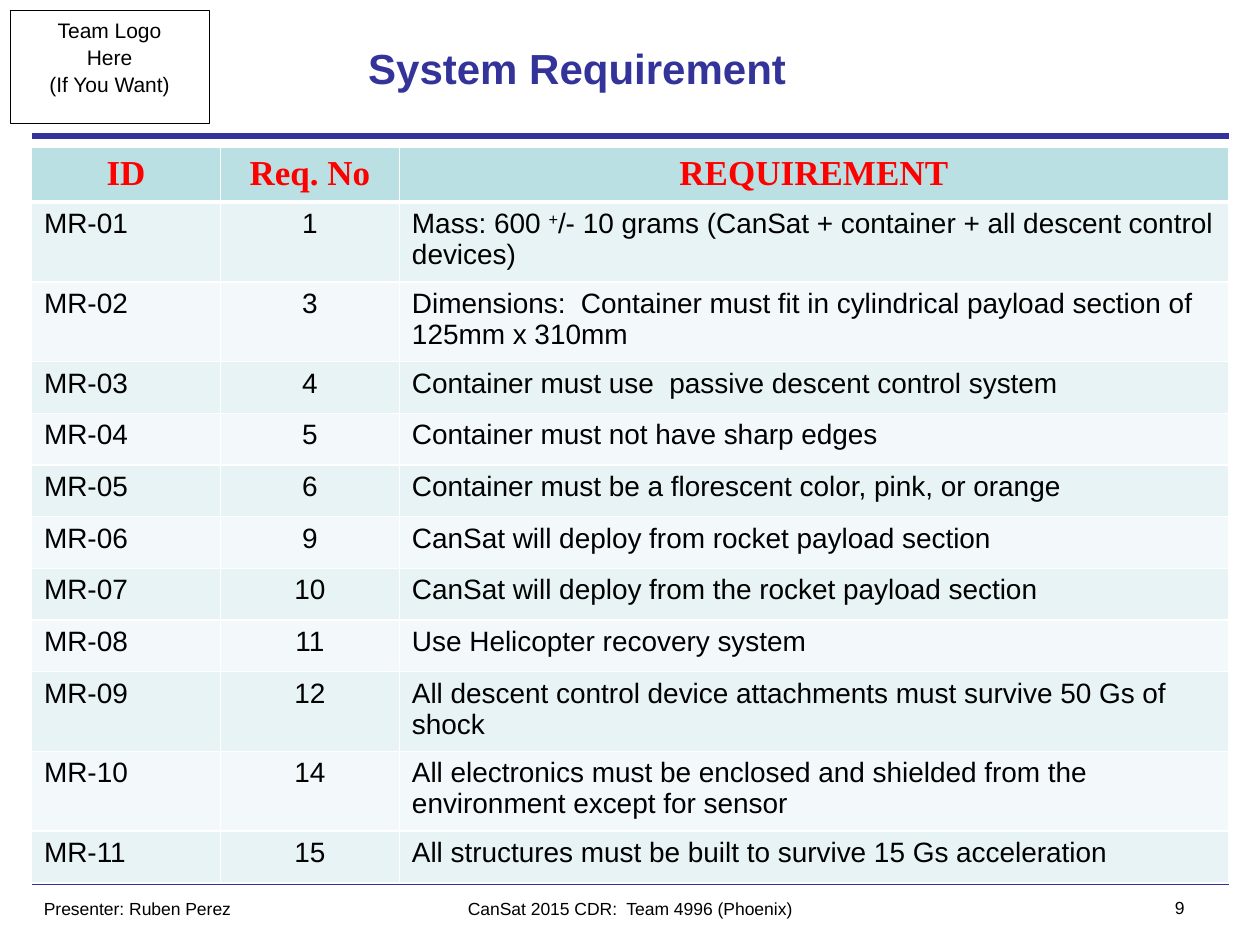
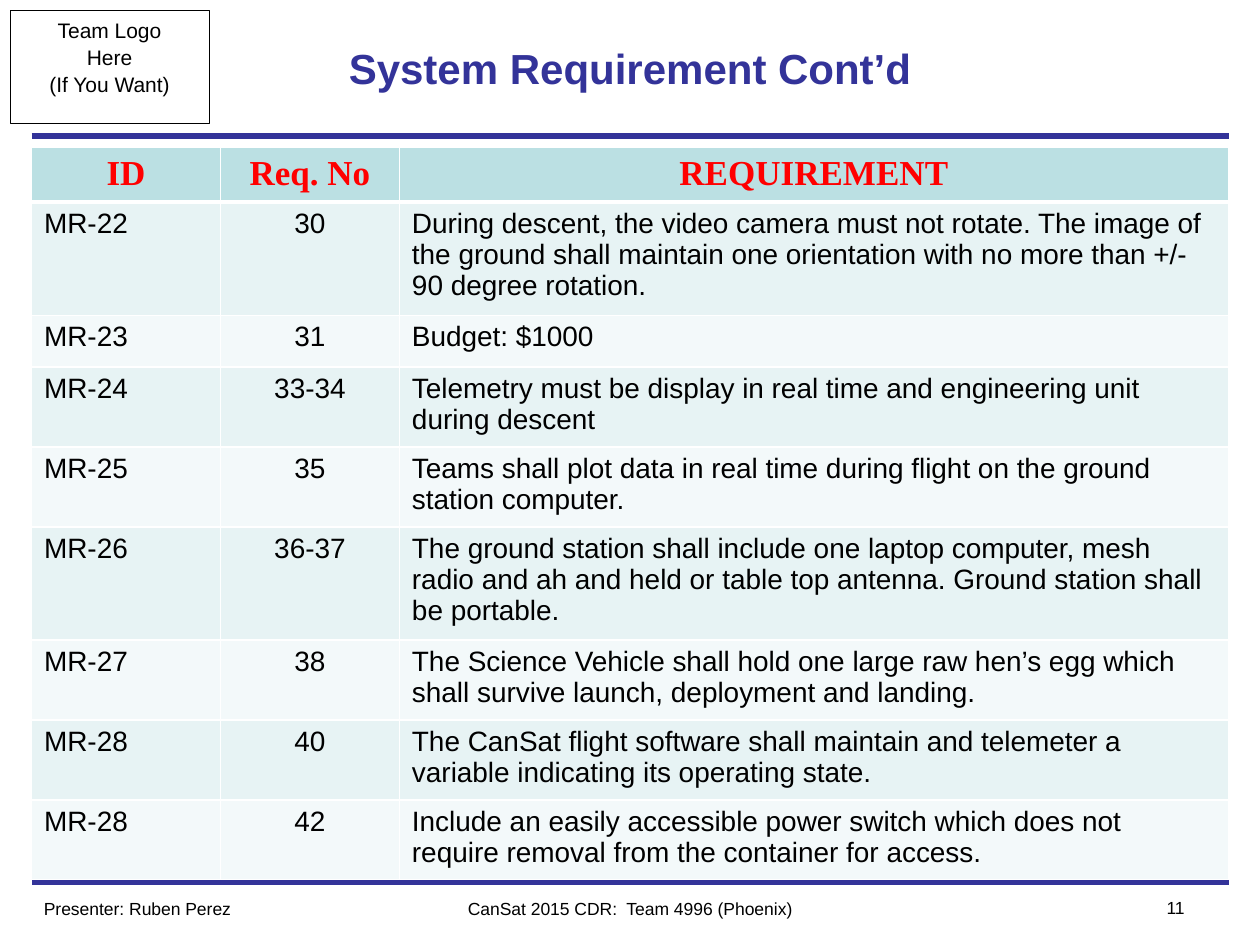
from lxml.etree import SubElement
from pptx import Presentation
from pptx.dml.color import RGBColor
from pptx.enum.shapes import MSO_CONNECTOR, MSO_SHAPE
from pptx.enum.text import MSO_ANCHOR, PP_ALIGN
from pptx.oxml import parse_xml
from pptx.oxml.ns import nsdecls, qn
from pptx.util import Inches, Pt

COLORS = {
    "navy": "333399",
    "black": "000000",
    "white": "FFFFFF",
    "red": "FF0000",
    "head": "BBE0E3",
    "odd": "E7F3F4",
    "even": "F3F9FA",
}
STYLES = {
    "title": {"name": "Arial", "size": Pt(24), "bold": True, "color": "navy"},
    "logo": {"name": "Arial", "size": Pt(12), "bold": False, "color": "black"},
    "foot": {"name": "Arial", "size": Pt(10), "bold": False, "color": "black"},
    "head": {"name": "Times New Roman", "size": Pt(20), "bold": True, "color": "red"},
    "body": {"name": "Arial", "size": Pt(16), "bold": False, "color": "black"},
}
LEFT, CENTER, RIGHT = PP_ALIGN.LEFT, PP_ALIGN.CENTER, PP_ALIGN.RIGHT
ALIGNS = (LEFT, CENTER, LEFT)
WIDTHS = (1.5, 1.42, 6.58)
HEIGHTS = {1: 0.41, 2: 0.63, 3: 0.9}
HEADS = ("ID", "Req. No", "REQUIREMENT")

FIRST = [
    ("MR-01", "1", "Mass: 600 ^+^/- 10 grams (CanSat + container + all descent control devices)", 2),
    ("MR-02", "3", "Dimensions:  Container must fit in cylindrical payload section of 125mm x 310mm", 2),
    ("MR-03", "4", "Container must use  passive descent control system", 1),
    ("MR-04", "5", "Container must not have sharp edges", 1),
    ("MR-05", "6", "Container must be a florescent color, pink, or orange", 1),
    ("MR-06", "9", "CanSat will deploy from rocket payload section", 1),
    ("MR-07", "10", "CanSat will deploy from the rocket payload section", 1),
    ("MR-08", "11", "Use Helicopter recovery system", 1),
    ("MR-09", "12", "All descent control device attachments must survive 50 Gs of shock", 2),
    ("MR-10", "14", "All electronics must be enclosed and shielded from the environment except for sensor", 2),
    ("MR-11", "15", "All structures must be built to survive 15 Gs acceleration", 1),
]
SECOND = [
    ("MR-22", "30", "During descent, the video camera must not rotate. The image of the ground shall "
     "maintain one orientation with no more than +/- 90 degree rotation.", 3),
    ("MR-23", "31", "Budget: $1000", 1),
    ("MR-24", "33-34", "Telemetry must be display in real time and engineering unit during descent", 2),
    ("MR-25", "35", "Teams shall plot data in real time during flight on the ground station computer.", 2),
    ("MR-26", "36-37", "The ground station shall include one laptop computer, mesh radio and ah and held "
     "or table top antenna. Ground station shall be portable.", 3),
    ("MR-27", "38", "The Science Vehicle shall hold one large raw hen’s egg which shall survive launch, "
     "deployment and landing.", 2),
    ("MR-28", "40", "The CanSat flight software shall maintain and telemeter a variable indicating its "
     "operating state.", 2),
    ("MR-28", "42", "Include an easily accessible power switch which does not require removal from the "
     "container for access.", 2),
]


def paint(color):
    return RGBColor.from_string(COLORS[color])


def write(para, text, style, align):
    para.alignment = align
    for i, part in enumerate(text.split("^")):
        run = para.add_run()
        run.text = part
        for key, value in STYLES[style].items():
            if key == "color":
                run.font.color.rgb = paint(value)
            else:
                setattr(run.font, key, value)
        if i % 2:
            run._r.get_or_add_rPr().set("baseline", "30000")


def add_rule(slide, y):
    rule = slide.shapes.add_connector(
        MSO_CONNECTOR.STRAIGHT, Inches(0.25), Inches(y), Inches(9.75), Inches(y))
    rule.line.color.rgb = paint("navy")
    rule.line.width = Pt(3)
    SubElement(rule._element.spPr, qn("a:effectLst"))


def add_logo(slide):
    box = slide.shapes.add_shape(
        MSO_SHAPE.RECTANGLE, Inches(0.08), Inches(0.08), Inches(1.58), Inches(0.9))
    box.shadow.inherit = False
    box.fill.background()
    box.line.color.rgb = paint("black")
    box.line.width = Pt(0.5)
    frame = box.text_frame
    frame.word_wrap = False
    frame.vertical_anchor = MSO_ANCHOR.TOP
    frame.margin_top = Inches(0.06)
    for i, text in enumerate(("Team Logo", "Here", "(If You Want)")):
        para = frame.add_paragraph() if i else frame.paragraphs[0]
        if i:
            para.space_before = Pt(1)
        write(para, text, "logo", CENTER)


def add_note(slide, x, y, width, text, align):
    box = slide.shapes.add_textbox(Inches(x), Inches(y), Inches(width), Inches(0.27))
    box.text_frame.word_wrap = True
    write(box.text_frame.paragraphs[0], text, "foot", align)


def set_title(slide, text, x):
    title = slide.shapes.title
    title.left, title.top = Inches(x), Inches(0.08)
    title.width, title.height = Inches(6.5), Inches(0.92)
    title.text_frame.vertical_anchor = MSO_ANCHOR.MIDDLE
    write(title.text_frame.paragraphs[0], text, "title", CENTER)


def set_edges(cell, top, bottom):
    props = cell._tc.get_or_add_tcPr()
    for i, (side, width) in enumerate((("L", 1), ("R", 1), ("T", top), ("B", bottom))):
        props.insert(i, parse_xml(
            f'<a:ln{side} {nsdecls("a")} w="{Pt(width)}"><a:solidFill>'
            f'<a:srgbClr val="{COLORS["white"]}"/></a:solidFill></a:ln{side}>'))


def add_grid(slide, rows):
    table = slide.shapes.add_table(
        len(rows) + 1, 3, Inches(0.25), Inches(1.17), Inches(9.5), Inches(5.81)).table
    table.first_row = table.horz_banding = False
    for col, width in zip(table.columns, WIDTHS):
        col.width = Inches(width)
    for r, (*texts, lines) in enumerate([(*HEADS, 1), *rows]):
        table.rows[r].height = Inches(HEIGHTS[lines])
        band = ("odd" if r % 2 else "even") if r else "head"
        for c, text in enumerate(texts):
            cell = table.cell(r, c)
            cell.fill.solid()
            cell.fill.fore_color.rgb = paint(band)
            set_edges(cell, 3 if r == 1 else 1, 1 if r else 3)
            write(cell.text_frame.paragraphs[0], text,
                  "body" if r else "head", ALIGNS[c] if r else CENTER)


def add_page(deck, title, x, number, rows):
    slide = deck.slides.add_slide(deck.slide_layouts[5])
    for y in (7, 1.08):
        add_rule(slide, y)
    add_logo(slide)
    set_title(slide, title, x)
    add_note(slide, 3, 7.08, 4, "CanSat 2015 CDR:  Team 4996 (Phoenix)", CENTER)
    add_note(slide, 8.75, 7.07, 0.75, number, RIGHT)
    add_note(slide, 0.25, 7.08, 2.5, "Presenter: Ruben Perez", LEFT)
    add_grid(slide, rows)


def main():
    deck = Presentation()
    deck.slide_width, deck.slide_height = Inches(10), Inches(7.5)
    add_page(deck, "System Requirement", 1.33, "9", FIRST)
    add_page(deck, "System Requirement Cont’d", 1.75, "11", SECOND)
    deck.save("out.pptx")


if __name__ == "__main__":
    main()
